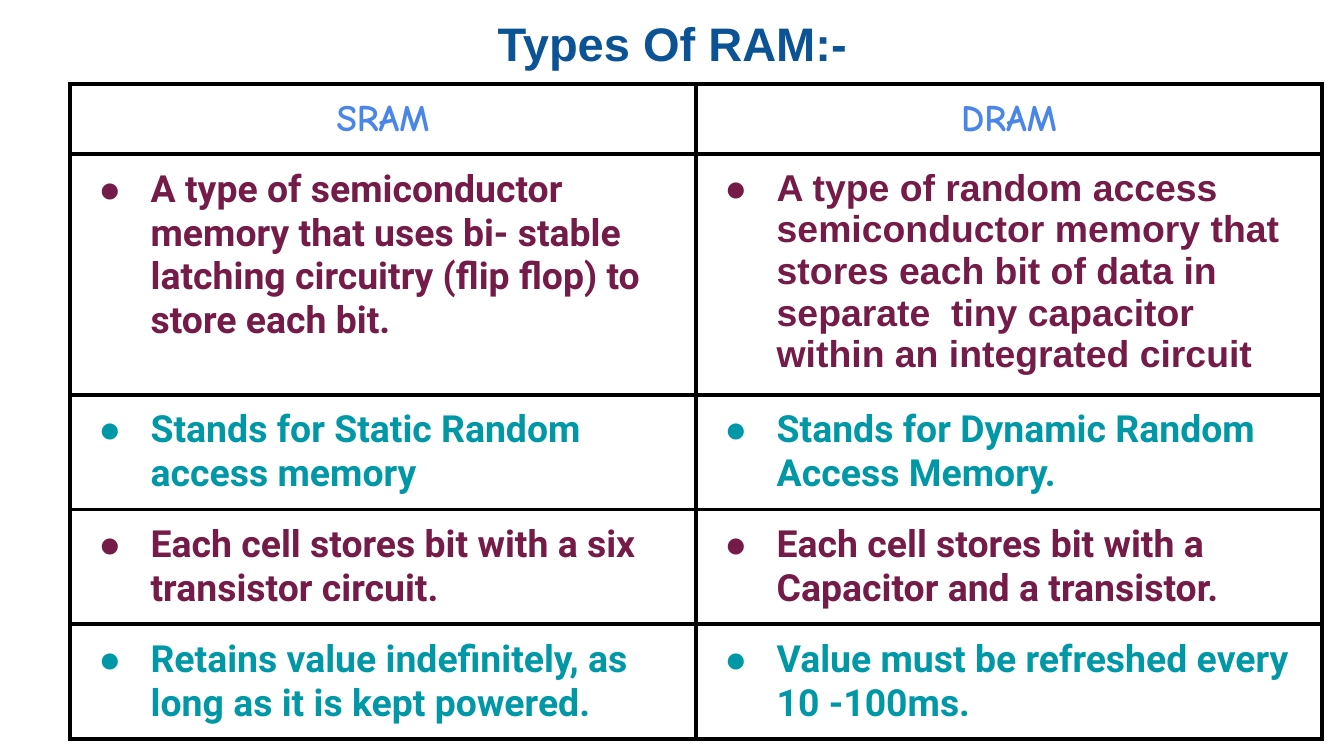
"""Build a slide that compares SRAM and DRAM in a two-column table."""
from lxml import etree
from pptx import Presentation
from pptx.dml.color import RGBColor
from pptx.enum.text import MSO_ANCHOR, MSO_AUTO_SIZE, PP_ALIGN
from pptx.oxml.ns import qn
from pptx.util import Pt

PX = 3810
CENTER, LEFT = PP_ALIGN.CENTER, PP_ALIGN.LEFT
BOTTOM, TOP = MSO_ANCHOR.BOTTOM, MSO_ANCHOR.TOP
NO_AUTOFIT = MSO_AUTO_SIZE.NONE

COLORS = {
    "title": "0B5394",
    "header": "4A86E8",
    "plum": "741B47",
    "teal": "0097A7",
    "border": "000000",
}
BORDER_WIDTH = Pt(2.25)
INSET = 24
INDENT, HANGING = 120, 93
COLUMN_WIDTH = 1118
ROW_HEIGHTS = [122, 430, 199, 199, 199]

HEADERS = ["SRAM", "DRAM"]
COMPARISONS = [
    (
        "A type of semiconductor memory that uses bi- stable latching circuitry "
        "(flip flop) to store each bit.",
        "A type of random access semiconductor memory that stores each bit of data "
        "in separate  tiny capacitor within an integrated circuit",
    ),
    (
        "Stands for Static Random access memory",
        "Stands for Dynamic Random Access Memory.",
    ),
    (
        "Each cell stores bit with a six transistor circuit.",
        "Each cell stores bit with a Capacitor and a transistor.",
    ),
    (
        "Retains value indefinitely, as long as it is kept powered.",
        "Value must be refreshed every 10 -100ms.",
    ),
]


def px(length):
    """Turn whole pixels into EMU."""
    return length * PX


def apply_format(target, values):
    """Set every attribute named in a dict of format values."""
    for name, value in values.items():
        setattr(target, name, value)


def margins():
    """Return equal insets for a text frame or a cell."""
    return {f"margin_{side}": px(INSET) for side in ("left", "right", "top", "bottom")}


def write_text(frame, wording, color, font, size, align):
    """Write one bold paragraph and return it."""
    paragraph = frame.paragraphs[0]
    paragraph.alignment = align
    run = paragraph.add_run()
    run.text = wording
    apply_format(run.font, {"name": font, "size": Pt(size), "bold": True})
    run.font.color.rgb = RGBColor.from_string(COLORS[color])
    return paragraph


def add_bullet(paragraph, color):
    """Give a paragraph a coloured round bullet with a hanging indent."""
    properties = paragraph._p.get_or_add_pPr()
    properties.set("marL", str(px(INDENT)))
    properties.set("indent", str(-px(HANGING)))
    bullet_color = etree.SubElement(properties, qn("a:buClr"))
    etree.SubElement(bullet_color, qn("a:srgbClr"), val=COLORS[color])
    etree.SubElement(properties, qn("a:buFont"), typeface="Arial")
    etree.SubElement(properties, qn("a:buChar"), char="●")


def format_cell(cell):
    """Set a cell's insets, borders and empty fill."""
    apply_format(cell, {**margins(), "vertical_anchor": TOP})
    properties = cell._tc.get_or_add_tcPr()
    for side in ("lnL", "lnR", "lnT", "lnB"):
        border = etree.SubElement(properties, qn(f"a:{side}"), w=str(BORDER_WIDTH))
        fill = etree.SubElement(border, qn("a:solidFill"))
        etree.SubElement(fill, qn("a:srgbClr"), val=COLORS["border"])
    cell.fill.background()


def add_title(slide):
    """Place and format the title."""
    title = slide.shapes.title
    apply_format(title, {"left": px(82), "top": 0, "width": px(2237), "height": px(150)})
    frame = title.text_frame
    apply_format(frame, {
        **margins(), "word_wrap": True, "auto_size": NO_AUTOFIT, "vertical_anchor": BOTTOM,
    })
    write_text(frame, "Types Of RAM:-", "title", "Arial", 25.2, CENTER)


def add_comparison_table(slide):
    """Add the table with its headers and bulleted comparisons."""
    table = slide.shapes.add_table(
        len(ROW_HEIGHTS), len(HEADERS), px(125), px(150),
        px(COLUMN_WIDTH * len(HEADERS)), px(sum(ROW_HEIGHTS)),
    ).table
    apply_format(table, {"first_row": False, "horz_banding": False})
    for column in table.columns:
        column.width = px(COLUMN_WIDTH)
    for row, height in zip(table.rows, ROW_HEIGHTS):
        row.height = px(height)
    for cell in table.iter_cells():
        format_cell(cell)

    for column_index, header in enumerate(HEADERS):
        frame = table.cell(0, column_index).text_frame
        write_text(frame, header, "header", "Comic Neue", 20, CENTER)
    for row_index, comparison in enumerate(COMPARISONS, start=1):
        color = "plum" if row_index % 2 else "teal"
        for column_index, statement in enumerate(comparison):
            font = "Arial" if (row_index, column_index) == (1, 1) else "Roboto"
            frame = table.cell(row_index, column_index).text_frame
            paragraph = write_text(frame, statement, color, font, 20, LEFT)
            add_bullet(paragraph, color)


def main():
    """Build and save the presentation."""
    presentation = Presentation()
    apply_format(presentation, {"slide_width": px(2400), "slide_height": px(1350)})
    slide = presentation.slides.add_slide(presentation.slide_layouts[5])
    add_title(slide)
    add_comparison_table(slide)
    presentation.save("out.pptx")


if __name__ == "__main__":
    main()
